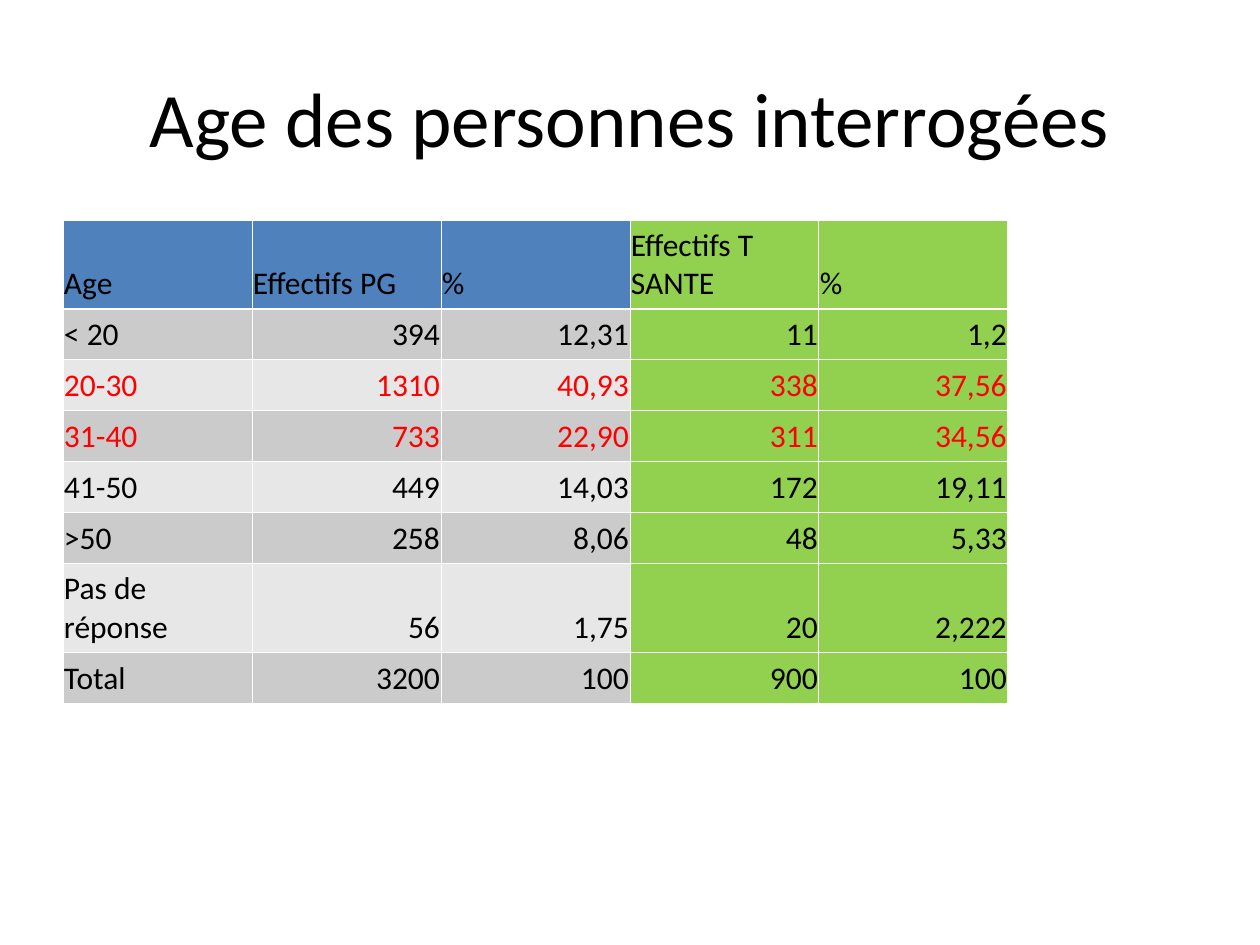
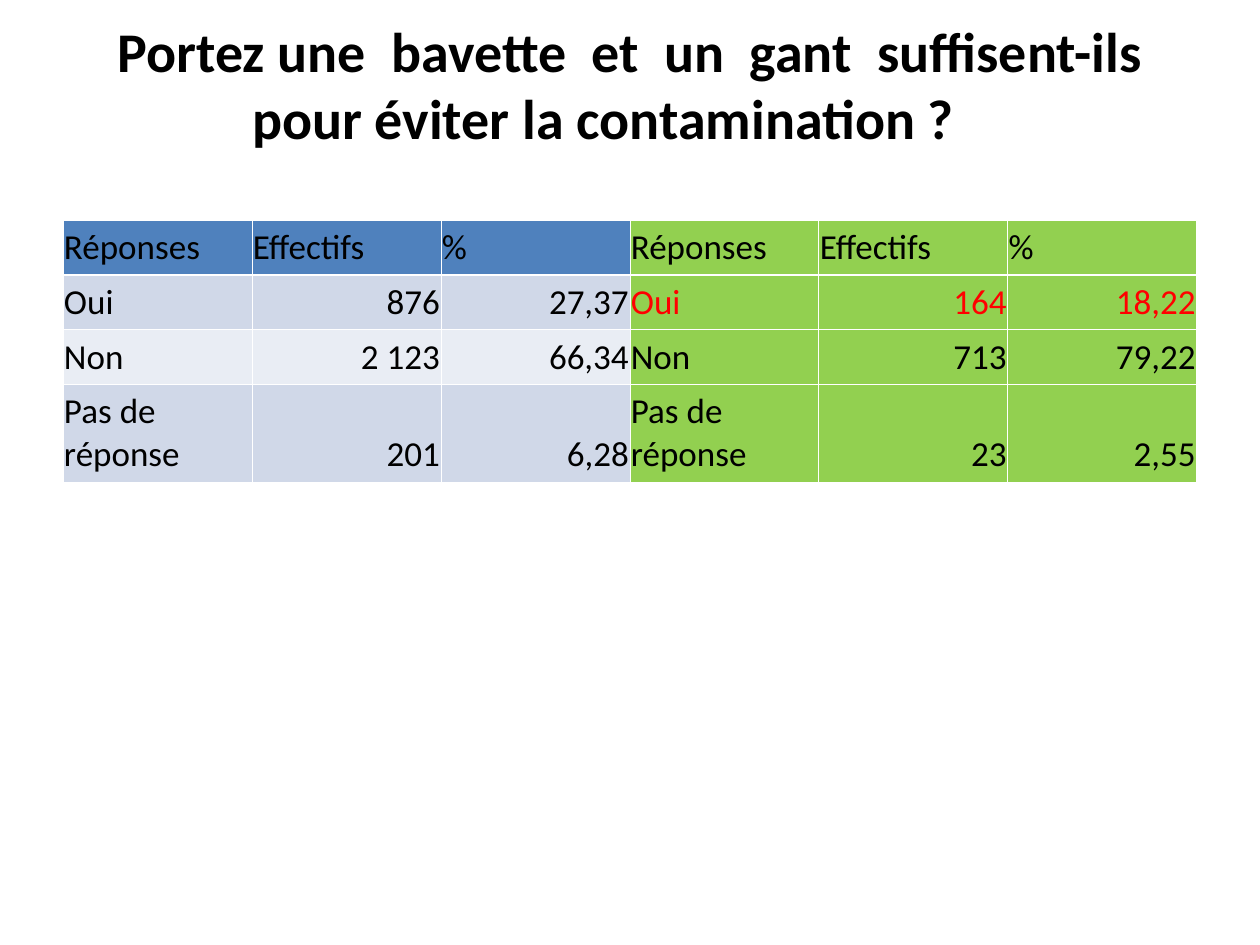
from dataclasses import dataclass

from lxml.etree import SubElement
from pptx import Presentation
from pptx.dml.color import RGBColor
from pptx.enum.text import MSO_ANCHOR as Anchor, MSO_AUTO_SIZE as AutoSize, PP_ALIGN as Align
from pptx.oxml.ns import qn
from pptx.util import Pt

# Content: label_columns are left-aligned, highlights map a row to its first red column
SURVEYS = [
    dict(
        title="Age des personnes interrogées",
        title_format=dict(size=44),
        title_bottom=6,
        rows=[
            ("Age", "Effectifs PG", "%", "Effectifs T SANTE", "%"),
            ("< 20", "394", "12,31", "11", "1,2"),
            ("20-30", "1310", "40,93", "338", "37,56"),
            ("31-40", "733", "22,90", "311", "34,56"),
            ("41-50", "449", "14,03", "172", "19,11"),
            (">50", "258", "8,06", "48", "5,33"),
            ("Pas de réponse", "56", "1,75", "20", "2,222"),
            ("Total", "3200", "100", "900", "100"),
        ],
        row_heights=[78, 51, 51, 51, 51, 51, 78, 51],
        label_columns={0},
        highlights={2: 0, 3: 0},
        bands=("CBCBCB", "E7E7E7"),
        size=18,
    ),
    dict(
        title="Portez une  bavette  et  un  gant  suffisent-ils "
              "pour éviter la contamination\u00a0?\t",
        title_format=dict(size=32, bold=True),
        title_bottom=73,
        rows=[
            ("Réponses", "Effectifs", "%", "Réponses", "Effectifs", "%"),
            ("Oui", "876", "27,37", "Oui", "164", "18,22"),
            ("Non", "2 123", "66,34", "Non", "713", "79,22"),
            ("Pas de réponse", "201", "6,28", "Pas de réponse", "23", "2,55"),
        ],
        row_heights=[50, 50, 50, 87],
        label_columns={0, 3},
        highlights={1: 3},
        bands=("D0D8E8", "E9EDF4"),
        size=20,
    ),
]


@dataclass(frozen=True)
class Theme:
    font: str = "Calibri"
    ink: str = "000000"
    highlight: str = "FF0000"
    header: str = "4F81BD"
    second_group: str = "92D050"
    grid: str = "FFFFFF"
    thin: float = 0.45
    thick: float = 1.47


THEME = Theme()
PX = 914400 // 126
SLIDE = (1260, 945)
TITLE_BOX = (63, 38, 1134, 158)
TABLE_LEFT, TABLE_TOP, COLUMN_WIDTH = 63, 220, 189
GROUP_WIDTH = 3  # columns before the green group


def px(*lengths):
    return [length * PX for length in lengths]


def write(frame, text, *, size, color=THEME.ink, bold=False, align=Align.LEFT):
    frame.word_wrap = True
    paragraph = frame.paragraphs[0]
    paragraph.alignment = align
    run = paragraph.add_run()
    run.text = text
    run.font.name, run.font.size, run.font.bold = THEME.font, Pt(size), bold
    run.font.color.rgb = RGBColor.from_string(color)


def draw_borders(cell, **widths):
    properties = cell._tc.get_or_add_tcPr()
    for side in ("lnL", "lnR", "lnT", "lnB"):
        line = SubElement(properties, qn(f"a:{side}"), w=str(Pt(widths.get(side, THEME.thin))))
        SubElement(SubElement(line, qn("a:solidFill")), qn("a:srgbClr"), val=THEME.grid)


def cell_fill(survey, row, column):
    if column >= GROUP_WIDTH:
        return THEME.second_group
    return THEME.header if row == 0 else survey["bands"][(row - 1) % 2]


def add_title(slide, survey):
    title = slide.shapes.title
    title.left, title.top, title.width, title.height = px(*TITLE_BOX)
    frame = title.text_frame
    frame.auto_size = AutoSize.NONE
    frame.vertical_anchor = Anchor.MIDDLE
    frame.margin_top, frame.margin_bottom = px(6, survey["title_bottom"])
    write(frame, survey["title"], align=Align.CENTER, **survey["title_format"])


def add_results(slide, survey):
    rows, heights = survey["rows"], survey["row_heights"]
    columns = len(rows[0])
    box = px(TABLE_LEFT, TABLE_TOP, columns * COLUMN_WIDTH, sum(heights))
    table = slide.shapes.add_table(len(rows), columns, *box).table
    table.horz_banding = False
    for row, (answers, height) in enumerate(zip(rows, heights)):
        table.rows[row].height = height * PX
        first_red = survey["highlights"].get(row, columns)
        for column, answer in enumerate(answers):
            cell = table.cell(row, column)
            cell.vertical_anchor = Anchor.BOTTOM
            cell.margin_left, cell.margin_right = px(1, 1)
            cell.margin_top, cell.margin_bottom = px(6, 6)
            # The rule under the header is thicker
            draw_borders(cell, **{0: {"lnB": THEME.thick}, 1: {"lnT": THEME.thick}}.get(row, {}))
            cell.fill.solid()
            cell.fill.fore_color.rgb = RGBColor.from_string(cell_fill(survey, row, column))
            is_label = row == 0 or column in survey["label_columns"]
            write(cell.text_frame, answer, size=survey["size"],
                  color=THEME.highlight if column >= first_red else THEME.ink,
                  align=Align.LEFT if is_label else Align.RIGHT)


def main():
    deck = Presentation()
    deck.slide_width, deck.slide_height = px(*SLIDE)
    title_only = deck.slide_layouts[5]
    for survey in SURVEYS:
        slide = deck.slides.add_slide(title_only)
        add_title(slide, survey)
        add_results(slide, survey)
    deck.save("out.pptx")


if __name__ == "__main__":
    main()
